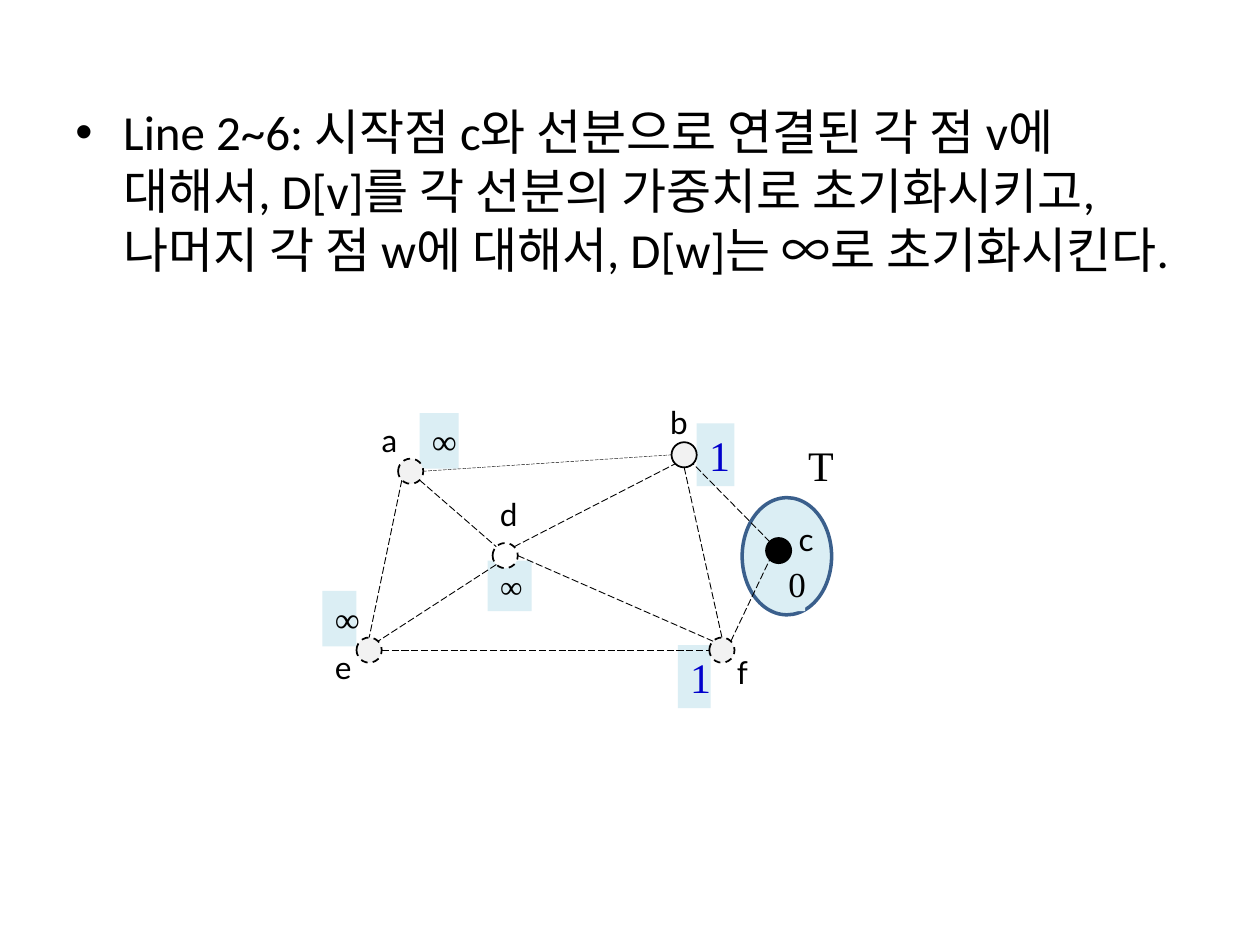
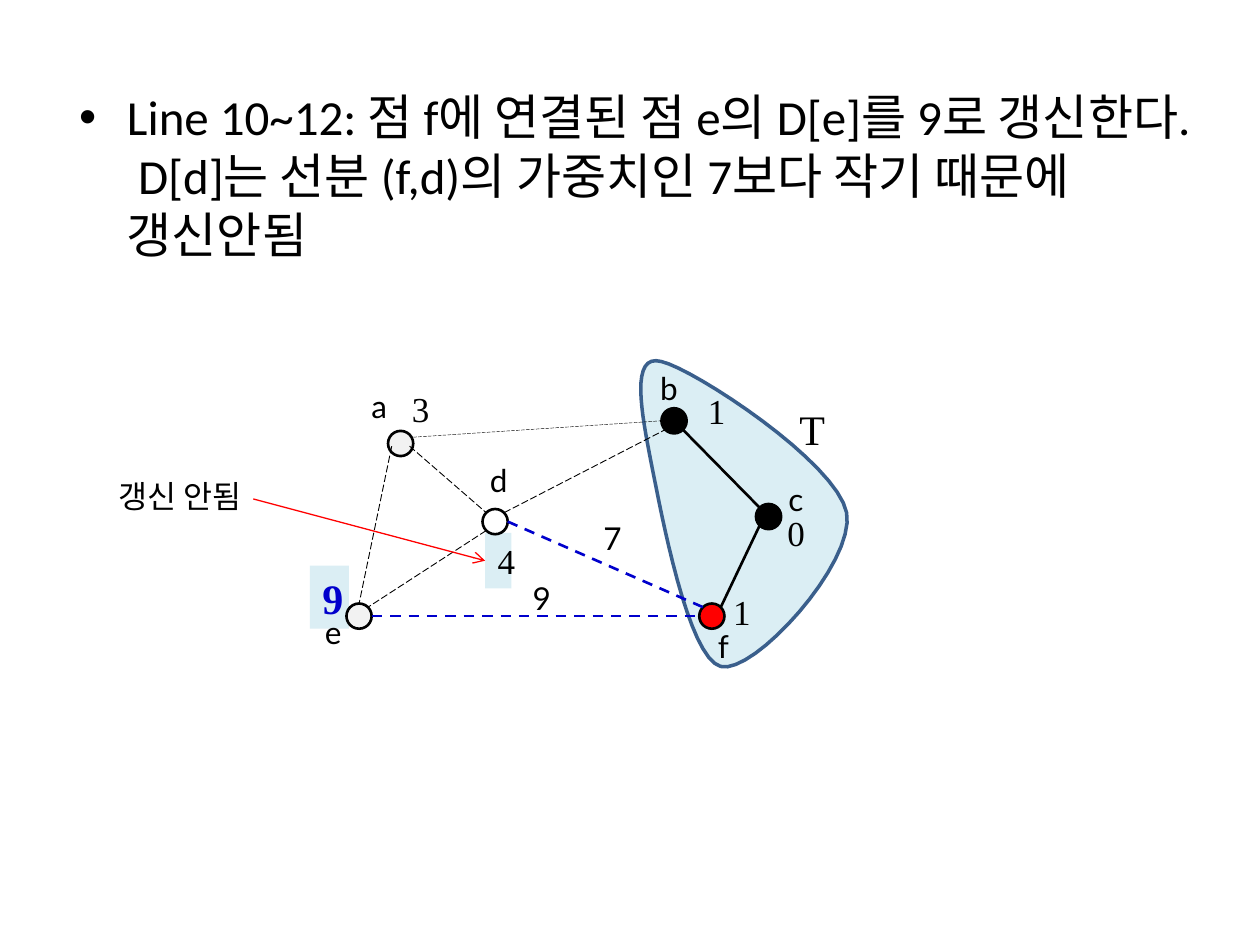
"""Build two slides that trace a minimum spanning tree step by step."""
from math import cos, pi, sin

from lxml.etree import SubElement
from pptx import Presentation
from pptx.dml.color import RGBColor
from pptx.enum.dml import MSO_LINE
from pptx.enum.shapes import MSO_CONNECTOR, MSO_SHAPE
from pptx.enum.text import MSO_AUTO_SIZE, PP_ALIGN
from pptx.oxml.ns import qn
from pptx.util import Inches, Pt

INK = {"black": "000000", "white": "FFFFFF", "gray": "F2F2F2", "pale": "DBEEF4",
       "edge": "3A5F8C", "blue": "0000CC", "red": "FF0000"}
SERIF = "Times New Roman"
HIGH = {18: 0.4, 20: 0.44, 24: 0.5}
SIZE = 0.2

NODES = {"a": (3.16, 3.64), "b": (5.33, 3.51), "c": (6.08, 4.27),
         "d": (3.91, 4.31), "e": (2.83, 5.06), "f": (5.63, 5.06)}
NAMES = {"a": (2.93, 3.29), "b": (5.22, 3.15), "c": (6.24, 4.08),
         "d": (3.87, 3.88), "e": (2.56, 5.09), "f": (5.75, 5.13)}
# Sites run counterclockwise in eighths of a circle from the top.
EDGES = {"ad": (5, 1), "de": (3, 7), "ae": (3, 0), "df": (6, 1), "ef": (6, 2),
         "ab": (6, 2), "db": (7, 3), "cb": (1, 5), "fc": (7, 3), "bf": (4, 0)}
THIN = {"width": 0.5, "dash": MSO_LINE.LONG_DASH}
FINE = {"width": 0.25, "dash": MSO_LINE.LONG_DASH}
TREE = {"width": 1.5}
TRIED = {"width": 1.5, "dash": MSO_LINE.DASH, "color": "blue"}

BLOB = [(5.72, 5.29),
        (5.46, 5.22), (5.25, 4.08), (5.17, 3.68),
        (5.09, 3.27), (5, 2.8), (5.25, 2.87),
        (5.51, 2.93), (6.64, 3.67), (6.72, 4.07),
        (6.79, 4.47), (5.98, 5.36), (5.72, 5.29)]

START = {
    "body": ("Line 2~6: 시작점 c와 선분으로 연결된 각 점 v에 대해서, D[v]를 각 선분의 가중치로 "
             "초기화시키고, 나머지 각 점 w에 대해서, D[w]는 ∞로 초기화시킨다.", 0.5, 0.76),
    "shift": (0, 0), "nudge": {}, "names": {},
    "fills": {"c": "black", "d": "white"}, "dashed": "adef", "width": 1,
    "edges": {"ab": FINE}, "skip": (), "tree": (6.24, 3.44),
    "values": [("∞", 3.33, 3.28, 0.31, 20, {}),
               ("1", 5.53, 3.36, 0.3, 24, {"color": "blue"}),
               ("0", 6.16, 4.41, 0.23, 20, {}),
               ("1", 5.38, 5.12, 0.26, 24, {"color": "blue"}),
               ("∞", 3.87, 4.45, 0.35, 18, {}),
               ("∞", 2.56, 4.69, 0.27, 20, {})],
}
UPDATE = {
    "body": ("Line 10~12: 점 f에 연결된 점 e의 D[e]를 9로 갱신한다. D[d]는 선분 (f,d)의 가중치인 "
             "7보다 작기 때문에 갱신안됨", 0.53, 0.64),
    "shift": (-0.08, -0.27), "nudge": {"a": 0.05},
    "names": {"c": (6.16, 3.76), "f": (5.6, 4.93)},
    "fills": {"b": "black", "c": "black", "d": "white", "f": "red"},
    "dashed": "", "width": 1.5,
    "edges": {"ab": FINE, "cb": TREE, "fc": TREE, "df": TRIED, "ef": TRIED},
    "skip": ("bf",), "tree": (6.17, 3.15),
    "values": [("9", 2.46, 4.49, 0.31, 24, {"color": "blue", "bold": True}),
               ("3", 3.17, 3.03, 0.31, 20, {"fill": None}),
               ("1", 5.72, 4.63, 0.31, 20, {}),
               ("0", 6.15, 4.01, 0.31, 20, {"fill": None}),
               ("1", 5.52, 3.04, 0.31, 20, {"fill": None}),
               ("4", 3.85, 4.23, 0.21, 20, {})],
}
COSTS = [("9", 4.13, 4.55), ("7", 4.69, 4.07)]


def rgb(name):
    return RGBColor.from_string(INK[name])


def paint(shape, fill, line=None, width=1, dash=None):
    shape.shadow.inherit = False
    shape.fill.solid()
    shape.fill.fore_color.rgb = rgb(fill)
    if line is None:
        shape.line.fill.background()
        return
    shape.line.color.rgb = rgb(line)
    shape.line.width = Pt(width)
    if dash:
        shape.line.dash_style = dash


def write(slide, words, x, y, w, size=18, h=None, font="Lato", color="black",
          bold=False, fill=None, wrap=True, center=False, bullet=False):
    box = [Inches(n) for n in (x, y, w, h or HIGH[size])]
    if fill:
        shape = slide.shapes.add_shape(MSO_SHAPE.RECTANGLE, *box)
        paint(shape, fill)
    else:
        shape = slide.shapes.add_textbox(*box)
    frame = shape.text_frame
    frame.word_wrap = wrap
    frame.auto_size = MSO_AUTO_SIZE.NONE if h else MSO_AUTO_SIZE.SHAPE_TO_FIT_TEXT
    para = frame.paragraphs[0]
    para.alignment = PP_ALIGN.CENTER if center else PP_ALIGN.LEFT
    if bullet:
        props = para._p.get_or_add_pPr()
        props.set("marL", str(Inches(0.38)))
        props.set("indent", str(-Inches(0.38)))
        SubElement(props, qn("a:buFont"), typeface="Arial")
        SubElement(props, qn("a:buChar"), char="•")
    run = para.add_run()
    run.text = words
    run.font.name, run.font.size, run.font.bold = font, Pt(size), bold
    run.font.color.rgb = rgb(color)
    return shape


def link(slide, start, end, width, color="black", dash=None, arrow=False):
    line = slide.shapes.add_connector(
        MSO_CONNECTOR.STRAIGHT, *[Inches(n) for n in (*start, *end)])
    line.line.color.rgb = rgb(color)
    line.line.width = Pt(width)
    if dash:
        line.line.dash_style = dash
    props = line.element.spPr
    if arrow:
        SubElement(props.find(qn("a:ln")), qn("a:tailEnd"), type="arrow")
    SubElement(props, qn("a:effectLst"))
    return line


def oval(slide, x, y, w, h, *style):
    shape = slide.shapes.add_shape(
        MSO_SHAPE.OVAL, *[Inches(n) for n in (x, y, w, h)])
    paint(shape, *style)


def curve(knots, steps=16):
    dots = [knots[0]]
    for i in range(0, len(knots) - 1, 3):
        for step in range(1, steps + 1):
            t = step / steps
            mix = ((1 - t) ** 3, 3 * t * (1 - t) ** 2, 3 * t * t * (1 - t), t ** 3)
            dots.append(tuple(sum(m * p[k] for m, p in zip(mix, knots[i:i + 4]))
                              for k in (0, 1)))
    return [(Inches(x), Inches(y)) for x, y in dots]


def blob(slide):
    dots = curve(BLOB)
    pen = slide.shapes.build_freeform(*dots[0])
    pen.add_line_segments(dots[1:-1], close=True)
    paint(pen.convert_to_shape(), "pale", "edge", 2)


def graph(slide, step):
    dx, dy = step["shift"]

    def port(node, site):
        x, y = NODES[node]
        turn, half = site * pi / 4, SIZE / 2
        return x + dx + half * (1 - sin(turn)), y + dy + half * (1 - cos(turn))

    boxes = [write(slide, words, x, y, w, size,
                   **{"font": SERIF, "center": True, "fill": "pale", **style})
             for words, x, y, w, size, style in step["values"]]
    for node, (x, y) in NODES.items():
        oval(slide, x + dx, y + dy + step["nudge"].get(node, 0), SIZE, SIZE,
             step["fills"].get(node, "gray"), "black", step["width"],
             MSO_LINE.DASH if node in step["dashed"] else None)
    for pair, sites in EDGES.items():
        if pair not in step["skip"]:
            start, end = map(port, pair, sites)
            link(slide, start, end, **step["edges"].get(pair, THIN))
    for node, (x, y) in NAMES.items():
        x, y = step["names"].get(node, (x + dx, y + dy))
        write(slide, node, x, y, 0.34, wrap=False)
    write(slide, "T", *step["tree"], 0.55, 24, font=SERIF, center=True)
    return boxes


def page(deck, step):
    slide = deck.slides.add_slide(deck.slide_layouts[6])
    words, x, y = step["body"]
    write(slide, words, x, y, 9, 28, h=5.94, font="Calibri", bullet=True)
    return slide


def main():
    deck = Presentation()
    deck.slide_width, deck.slide_height = Inches(10), Inches(7.5)

    first = page(deck, START)
    oval(first, 5.89, 3.95, 0.71, 0.93, "pale", "edge", 2)
    graph(first, START)

    second = page(deck, UPDATE)
    blob(second)
    kept = graph(second, UPDATE)[-1]
    for words, x, y in COSTS:
        write(second, words, x, y, 0.34, wrap=False)
    write(second, "갱신 안됨", 0.84, 3.74, 1.73, font="Calibri")
    arrow = link(second, (2.01, 3.96), (3.85, 4.45), 0.75, "red", arrow=True)
    arrow.end_connect(kept, 1)

    deck.save("out.pptx")


if __name__ == "__main__":
    main()
